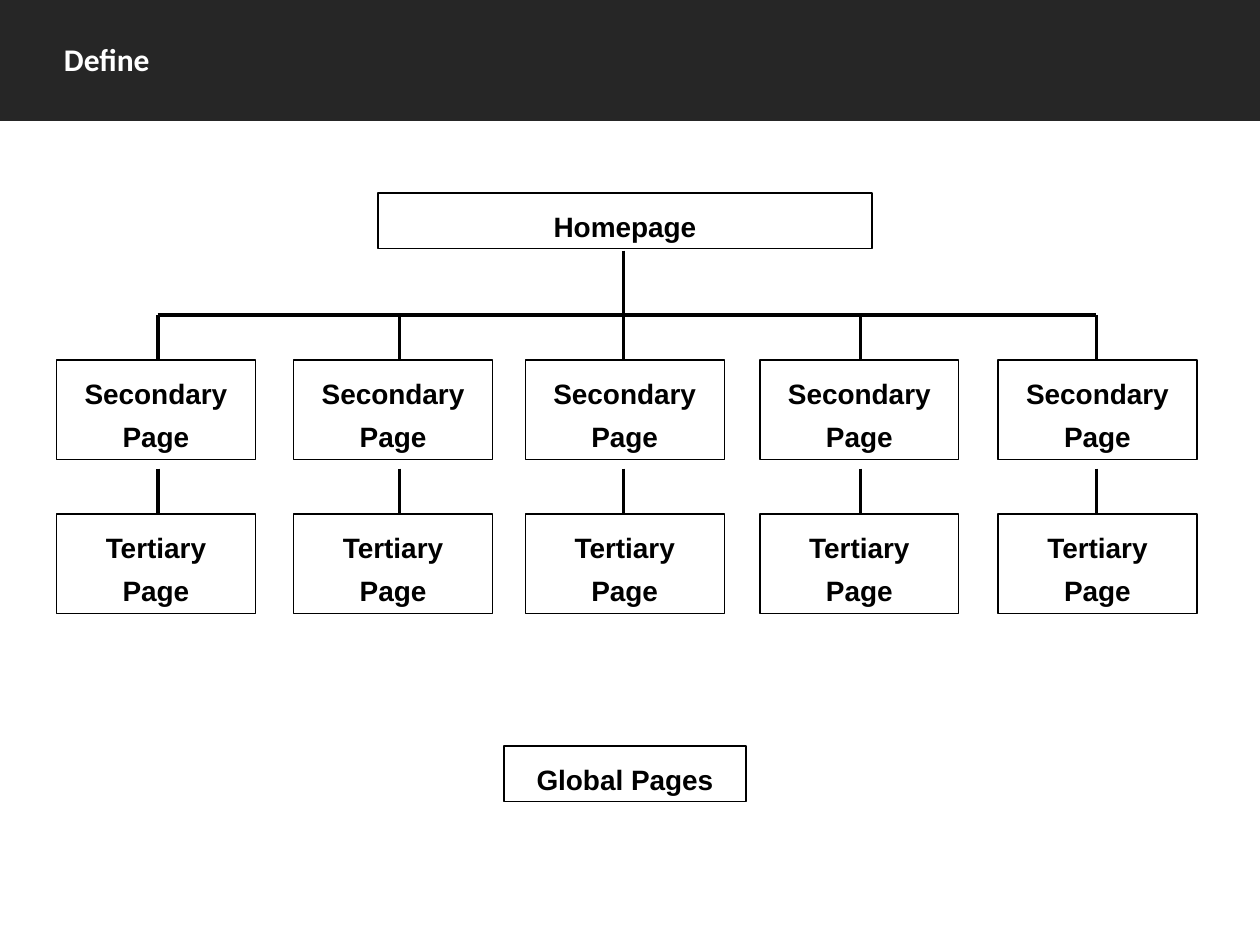
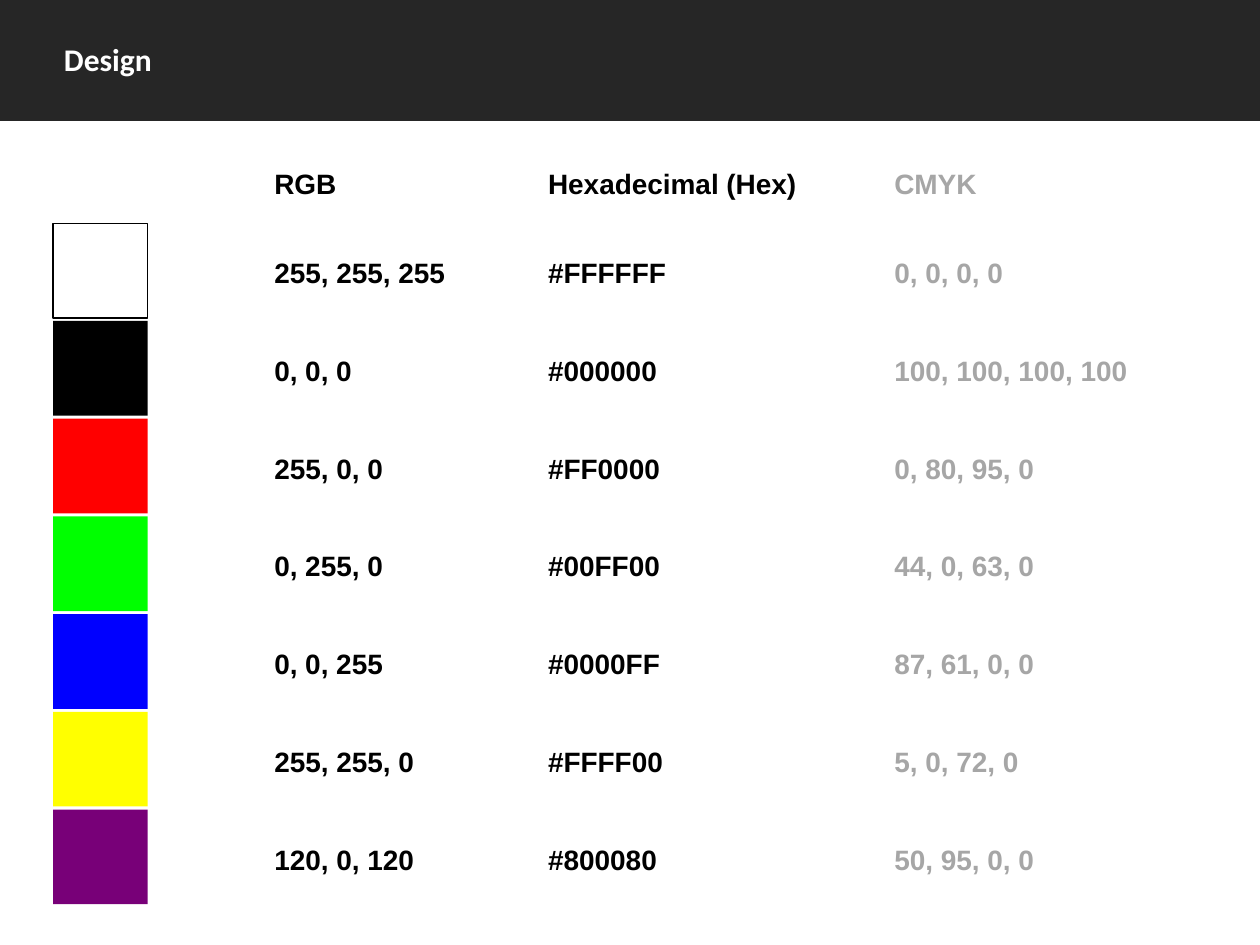
from pptx import Presentation
from pptx.dml.color import RGBColor
from pptx.enum.shapes import MSO_CONNECTOR, MSO_SHAPE
from pptx.enum.text import MSO_ANCHOR, MSO_AUTO_SIZE, PP_ALIGN
from pptx.oxml.ns import qn
from pptx.util import Cm, Pt
from lxml.etree import SubElement

BLACK = RGBColor(0x00, 0x00, 0x00)
WHITE = RGBColor(0xFF, 0xFF, 0xFF)
CHARCOAL = RGBColor(0x26, 0x26, 0x26)
GREY = RGBColor(0xA6, 0xA6, 0xA6)

SLIDE_WIDTH, SLIDE_HEIGHT = 25.4, 19.05
LINE_HEIGHT = 1.12  # height of a one-line box

# Left edge of each page box and the x of the line above it
BRANCHES = [(1.14, 3.18), (5.92, 8.05), (10.59, 12.57), (15.32, 17.35), (20.12, 22.1)]
PAGE_WIDTH, PAGE_HEIGHT = 4.01, 2.01
TRUNK_X, TRUNK_TOP, RAIL_Y = 12.57, 5.05, 6.35
SECONDARY_TOP, TERTIARY_TOP = 7.26, 10.36
STEM = 0.91

# Left edge, width and text colour of the RGB, Hex and CMYK columns
COLUMNS = [(5.28, 4.52, BLACK), (10.8, 5.72, BLACK), (17.78, 5.92, GREY)]
HEADINGS = ["RGB", "Hexadecimal (Hex)", "CMYK"]
PALETTE = [
    ((255, 255, 255), "#FFFFFF", "0, 0, 0, 0"),
    ((0, 0, 0), "#000000", "100, 100, 100, 100"),
    ((255, 0, 0), "#FF0000", "0, 80, 95, 0"),
    ((0, 255, 0), "#00FF00", "44, 0, 63, 0"),
    ((0, 0, 255), "#0000FF", "87, 61, 0, 0"),
    ((255, 255, 0), "#FFFF00", "5, 0, 72, 0"),
    ((120, 0, 120), "#800080", "50, 95, 0, 0"),
]
SWATCH_LEFT, SWATCH_SIZE = 1.07, 1.91
PALETTE_TOP, PALETTE_PITCH = 4.5, 1.97
HEADING_TOP, VALUE_OFFSET = 3.02, 0.33


def write(frame, text, size=16, font="Arial", color=BLACK, align=PP_ALIGN.LEFT,
          spacing=1.3, wrap=True):
    """Fill a text frame with one bold paragraph; a newline breaks the line."""
    frame.word_wrap = wrap
    frame.auto_size = MSO_AUTO_SIZE.SHAPE_TO_FIT_TEXT
    frame.vertical_anchor = MSO_ANCHOR.TOP
    paragraph = frame.paragraphs[0]
    paragraph.text = text
    paragraph.alignment = align
    paragraph.line_spacing = spacing
    for run in paragraph.runs:
        run.font.size = Pt(size)
        run.font.name = font
        run.font.bold = True
        run.font.color.rgb = color


def add_rectangle(slide, left, top, width, height, fill=None, outline=None):
    rectangle = slide.shapes.add_shape(
        MSO_SHAPE.RECTANGLE, Cm(left), Cm(top), Cm(width), Cm(height))
    rectangle.shadow.inherit = False
    if fill is None:
        rectangle.fill.background()
    else:
        rectangle.fill.solid()
        rectangle.fill.fore_color.rgb = fill
    if outline is None:
        rectangle.line.fill.background()
    else:
        rectangle.line.color.rgb = outline
        rectangle.line.width = Pt(0.75)
    return rectangle


def add_label(slide, text, left, top, width, height=LINE_HEIGHT, **text_format):
    label = slide.shapes.add_textbox(Cm(left), Cm(top), Cm(width), Cm(height))
    write(label.text_frame, text, **text_format)


def add_page(slide, text, left, top, width, height=LINE_HEIGHT):
    """Draw an outlined site map box."""
    page = add_rectangle(slide, left, top, width, height, outline=BLACK)
    write(page.text_frame, text, align=PP_ALIGN.CENTER)


def add_link(slide, x1, y1, x2, y2):
    link = slide.shapes.add_connector(
        MSO_CONNECTOR.STRAIGHT, Cm(x1), Cm(y1), Cm(x2), Cm(y2))
    link.line.color.rgb = BLACK
    link.line.width = Pt(2)
    SubElement(link._element.spPr, qn("a:effectLst"))


def add_titled_slide(deck, title):
    slide = deck.slides.add_slide(deck.slide_layouts[6])
    add_rectangle(slide, 0, 0, SLIDE_WIDTH, 2.44, fill=CHARCOAL)
    add_label(slide, title, 1.04, 0.69, 2.29, 1.02, size=18, font="Calibri",
              color=WHITE, spacing=1, wrap=False)
    return slide


def build_site_map(deck):
    slide = add_titled_slide(deck, "Define")
    add_page(slide, "Homepage", 7.62, 3.89, 9.96)
    add_link(slide, TRUNK_X, TRUNK_TOP, TRUNK_X, RAIL_Y)
    add_link(slide, BRANCHES[0][1], RAIL_Y, BRANCHES[-1][1], RAIL_Y)
    for level, top in [("Secondary", SECONDARY_TOP), ("Tertiary", TERTIARY_TOP)]:
        for left, link_x in BRANCHES:
            add_page(slide, f"{level}\nPage", left, top, PAGE_WIDTH, PAGE_HEIGHT)
            add_link(slide, link_x, top - STEM, link_x, top)
    add_page(slide, "Global Pages", 10.16, 15.04, 4.88)


def add_palette_row(slide, texts, top):
    for text, (left, width, color) in zip(texts, COLUMNS):
        add_label(slide, text, left, top, width, color=color)


def build_palette(deck):
    slide = add_titled_slide(deck, "Design")
    add_palette_row(slide, HEADINGS, HEADING_TOP)
    for row, (rgb, hex_code, cmyk) in enumerate(PALETTE):
        top = PALETTE_TOP + row * PALETTE_PITCH
        swatch = RGBColor(*rgb)
        add_rectangle(slide, SWATCH_LEFT, top, SWATCH_SIZE, SWATCH_SIZE, fill=swatch,
                      outline=BLACK if swatch == WHITE else None)
        rgb_text = ", ".join(str(channel) for channel in rgb)
        add_palette_row(slide, [rgb_text, hex_code, cmyk], top + VALUE_OFFSET)


def main():
    deck = Presentation()
    deck.slide_width, deck.slide_height = Cm(SLIDE_WIDTH), Cm(SLIDE_HEIGHT)
    build_site_map(deck)
    build_palette(deck)
    deck.save("out.pptx")


if __name__ == "__main__":
    main()
